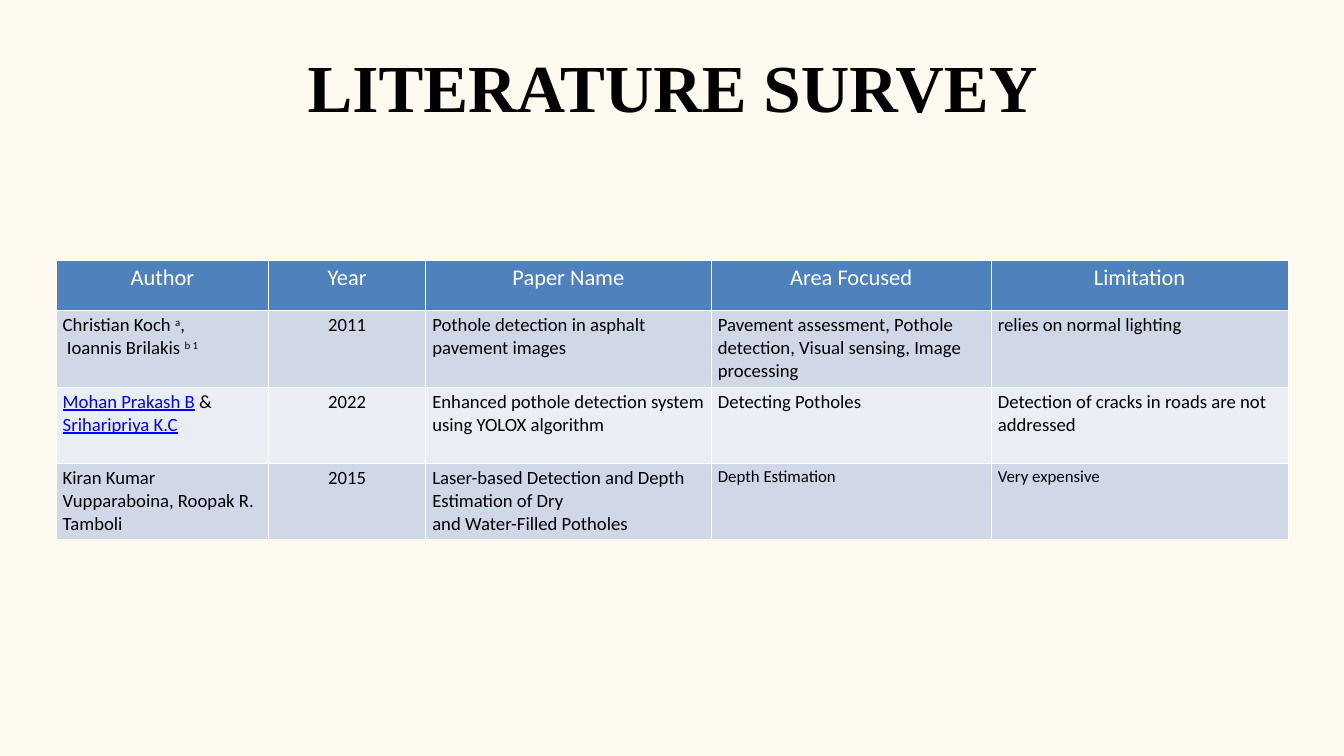
from pptx import Presentation
from pptx.dml.color import RGBColor
from pptx.enum.text import MSO_ANCHOR, MSO_AUTO_SIZE, PP_ALIGN
from pptx.util import Emu, Pt

EMU_PER_PX = 9525  # 96 px to the inch

CREAM = RGBColor(0xFF, 0xFA, 0xEF)
BLACK = RGBColor(0x00, 0x00, 0x00)
WHITE = RGBColor(0xFF, 0xFF, 0xFF)
LINK_BLUE = RGBColor(0x00, 0x00, 0xFF)
HEADER_BLUE = RGBColor(0x4F, 0x81, 0xBD)
BAND_DARK = RGBColor(0xD0, 0xD8, 0xE8)
BAND_LIGHT = RGBColor(0xE9, 0xED, 0xF4)

TABLE_BOX = (80, 372, 1760, 400)
COLUMN_WIDTHS = (304, 224, 408, 400, 424)
HEADER_HEIGHT = 72
YEAR_COLUMN = 1

HEADERS = ("Author", "Year", "Paper Name", "Area Focused", "Limitation")

# Each cell is a list of paragraphs; each paragraph is a list of (text, style) runs
PLAIN, SUPERSCRIPT, LINK = "plain", "superscript", "link"


def plain(*lines):
    return [[(line, PLAIN)] for line in lines]


# Each paper: its cells, and the text size of its last two columns
PAPERS = (
    ((
        [
            [("Christian Koch ", PLAIN), ("a", SUPERSCRIPT), (",", PLAIN)],
            [(" Ioannis Brilakis ", PLAIN), ("b 1", SUPERSCRIPT)],
        ],
        plain("2011"),
        plain("Pothole detection in asphalt pavement images"),
        plain("Pavement assessment, Pothole detection, Visual sensing, Image processing"),
        plain("relies on normal lighting"),
    ), 20),
    ((
        [[("Mohan Prakash B", LINK), (" & ", PLAIN), ("Sriharipriya K.C", LINK)]],
        plain("2022"),
        plain("Enhanced pothole detection system using YOLOX algorithm"),
        plain("Detecting Potholes"),
        plain("Detection of cracks in roads are not addressed"),
    ), 20),
    ((
        plain("Kiran Kumar Vupparaboina, Roopak R. Tamboli"),
        plain("2015"),
        plain("Laser-based Detection and Depth Estimation of Dry",
              "and Water-Filled Potholes"),
        plain("Depth Estimation"),
        plain("Very expensive"),
    ), 18),
)


def px(value):
    return Emu(value * EMU_PER_PX)


def format_title(title, text, left, top, width, height):
    title.left, title.top = px(left), px(top)
    title.width, title.height = px(width), px(height)
    frame = title.text_frame
    frame.margin_left = frame.margin_right = 0
    frame.margin_top = frame.margin_bottom = 0
    frame.vertical_anchor = MSO_ANCHOR.TOP
    frame.auto_size = MSO_AUTO_SIZE.NONE
    frame.word_wrap = True
    paragraph = frame.paragraphs[0]
    paragraph.text = text
    paragraph.alignment = PP_ALIGN.CENTER
    paragraph.line_spacing = Pt(108)
    font = paragraph.font
    font.name, font.size, font.bold = "Times New Roman", Pt(72), True
    font.color.rgb = BLACK


def add_run(paragraph, text, style):
    run = paragraph.add_run()
    run.text = text
    if style == SUPERSCRIPT:
        run._r.get_or_add_rPr().set("baseline", "30000")
    elif style == LINK:
        run.font.underline = True
        run.font.color.rgb = LINK_BLUE


def fill_cell(cell, paragraphs, fill, size, color, alignment):
    cell.fill.solid()
    cell.fill.fore_color.rgb = fill
    frame = cell.text_frame
    for index, runs in enumerate(paragraphs):
        paragraph = frame.add_paragraph() if index else frame.paragraphs[0]
        paragraph.alignment = alignment
        font = paragraph.font
        font.name, font.size, font.bold = "Calibri", Pt(size), False
        font.color.rgb = color
        for text, style in runs:
            add_run(paragraph, text, style)


def add_survey_table(slide):
    left, top, width, height = TABLE_BOX
    table = slide.shapes.add_table(
        len(PAPERS) + 1, len(HEADERS), px(left), px(top), px(width), px(height)
    ).table
    for column, column_width in zip(table.columns, COLUMN_WIDTHS):
        column.width = px(column_width)

    # Header row
    table.rows[0].height = px(HEADER_HEIGHT)
    for column, header in enumerate(HEADERS):
        fill_cell(table.cell(0, column), plain(header), HEADER_BLUE, 24, WHITE,
                  PP_ALIGN.CENTER)

    # Banded paper rows
    row_height = (height - HEADER_HEIGHT) // len(PAPERS)
    for row, (cells, remark_size) in enumerate(PAPERS, start=1):
        table.rows[row].height = px(row_height)
        band = BAND_DARK if row % 2 else BAND_LIGHT
        for column, paragraphs in enumerate(cells):
            size = remark_size if column >= 3 else 20
            alignment = PP_ALIGN.CENTER if column == YEAR_COLUMN else PP_ALIGN.LEFT
            fill_cell(table.cell(row, column), paragraphs, band, size, BLACK, alignment)


def main():
    presentation = Presentation()
    presentation.slide_width, presentation.slide_height = px(1920), px(1080)
    slide = presentation.slides.add_slide(presentation.slide_layouts[5])

    # Background
    slide.background.fill.solid()
    slide.background.fill.fore_color.rgb = CREAM

    # Title and table
    format_title(slide.shapes.title, "LITERATURE SURVEY", 391, 36, 1140, 132)
    add_survey_table(slide)

    presentation.save("out.pptx")


if __name__ == "__main__":
    main()
